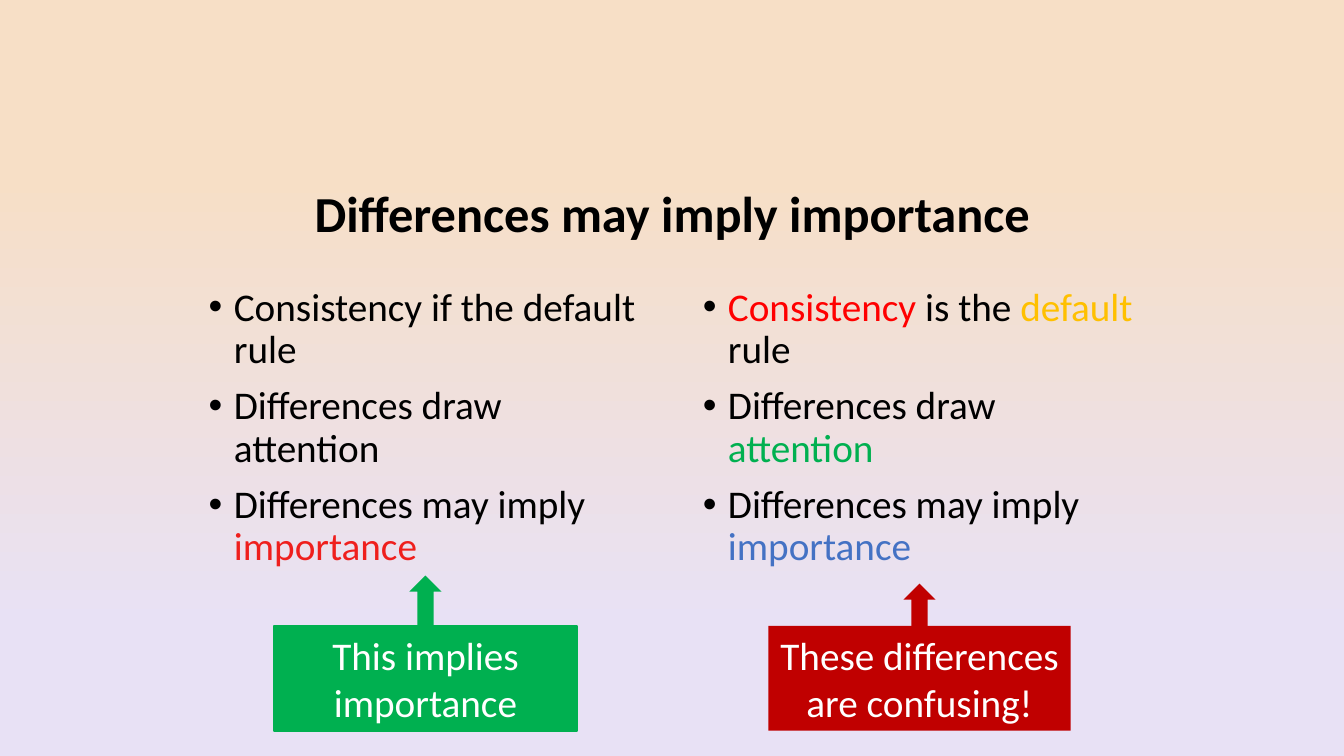
from copy import deepcopy

from lxml.etree import SubElement
from pptx import Presentation
from pptx.dml.color import RGBColor
from pptx.enum.shapes import MSO_SHAPE
from pptx.enum.text import MSO_ANCHOR, MSO_AUTO_SIZE, PP_ALIGN
from pptx.oxml.ns import qn
from pptx.util import Inches, Pt

FONT = "Calibri"
BLACK, WHITE, GREEN, DARK_RED = "000000", "FFFFFF", "00B050", "C00000"
BACKGROUND_STOPS = [(0, "F7DFC6"), (0.23, "F7DFC6"), (0.83, "E8E1F5"), (1, "E8E1F5")]

# Two equal columns, in inches
COLUMN_LEFT, COLUMN_STEP, COLUMN_WIDTH = 1.97, 4.9, 4.5
LIST_TOP, LIST_HEIGHT = 2.8, 3
BOX_TOP, BOX_WIDTH, BOX_HEIGHT = 6.21, 3, 1.04
ARROW_WIDTH, ARROW_HEIGHT = 0.32, 0.5

# One entry per column: bullets as (text, colour) runs, then callout, fill, arrow top
COLUMNS = [
    ([[("Consistency if the default rule", BLACK)],
      [("Differences draw attention", BLACK)],
      [("Differences may imply ", BLACK), ("importance", "EF1F1D")]],
     "This implies importance", GREEN, 5.71),
    ([[("Consistency", "FF0000"), (" is the ", BLACK), ("default", "FFC000"), (" rule", BLACK)],
      [("Differences draw ", BLACK), ("attention", GREEN)],
      [("Differences may imply ", BLACK), ("importance", "4472C4")]],
     "These differences are confusing!", DARK_RED, 5.79),
]


def colour(hex_value):
    return RGBColor.from_string(hex_value)


def place(shape, left, top, width, height):
    shape.left, shape.top = Inches(left), Inches(top)
    shape.width, shape.height = Inches(width), Inches(height)


def format_run(run, size, hex_value, bold=False):
    run.font.name, run.font.size, run.font.bold = FONT, Pt(size), bold
    run.font.color.rgb = colour(hex_value)


def set_background(slide):
    fill = slide.background.fill
    fill.gradient()
    fill.gradient_angle = 270
    stop_list = next(slide.element.iter(qn("a:gsLst")))
    for stop in list(stop_list):
        stop_list.append(deepcopy(stop))
    for stop, (position, hex_value) in zip(fill.gradient_stops, BACKGROUND_STOPS):
        stop.position = position
        stop.color.rgb = colour(hex_value)


def set_title(title, text):
    place(title, 2.42, 1.85, 8.5, 0.62)
    frame = title.text_frame
    frame.text = text
    frame.auto_size = MSO_AUTO_SIZE.NONE
    frame.vertical_anchor = MSO_ANCHOR.MIDDLE
    paragraph = frame.paragraphs[0]
    paragraph.alignment, paragraph.line_spacing = PP_ALIGN.CENTER, 0.8
    format_run(paragraph.runs[0], 36, BLACK, bold=True)


def add_bullet(paragraph):
    properties = paragraph._p.get_or_add_pPr()
    properties.set("marL", str(Inches(0.25)))
    properties.set("indent", str(-Inches(0.25)))
    bullet_colour = SubElement(properties, qn("a:buClr"))
    SubElement(bullet_colour, qn("a:srgbClr"), val=BLACK)
    SubElement(properties, qn("a:buFont"), typeface="Arial")
    SubElement(properties, qn("a:buChar"), char="•")


def fill_list(placeholder, left, bullets):
    place(placeholder, left, LIST_TOP, COLUMN_WIDTH, LIST_HEIGHT)
    frame = placeholder.text_frame
    frame.auto_size = MSO_AUTO_SIZE.NONE
    for index, runs in enumerate(bullets):
        paragraph = frame.add_paragraph() if index else frame.paragraphs[0]
        add_bullet(paragraph)
        paragraph.line_spacing = 0.9
        paragraph.space_before = Pt(10 if index else 0)
        for text, hex_value in runs:
            run = paragraph.add_run()
            run.text = text
            format_run(run, 28, hex_value)


def add_solid(slide, kind, center, top, width, height, hex_value):
    shape = slide.shapes.add_shape(kind, 0, 0, 0, 0)
    place(shape, center - width / 2, top, width, height)
    shape.shadow.inherit = False
    shape.fill.solid()
    shape.fill.fore_color.rgb = colour(hex_value)
    shape.line.fill.background()
    return shape


def add_callout(slide, center, text, hex_value, arrow_top):
    box = add_solid(slide, MSO_SHAPE.RECTANGLE, center, BOX_TOP, BOX_WIDTH, BOX_HEIGHT, hex_value)
    if hex_value == GREEN:
        box.line.color.rgb = colour(GREEN)
        box.line.width = Pt(1.5)
    frame = box.text_frame
    frame.text = text
    frame.word_wrap = True
    frame.vertical_anchor = MSO_ANCHOR.TOP
    frame.paragraphs[0].alignment = PP_ALIGN.CENTER
    format_run(frame.paragraphs[0].runs[0], 28, WHITE)
    add_solid(slide, MSO_SHAPE.UP_ARROW, center, arrow_top, ARROW_WIDTH, ARROW_HEIGHT, hex_value)


def main():
    presentation = Presentation()
    presentation.slide_width, presentation.slide_height = Inches(13.33), Inches(7.5)
    slide = presentation.slides.add_slide(presentation.slide_layouts.get_by_name("Two Content"))
    set_background(slide)
    set_title(slide.shapes.title, "Differences may imply importance")

    # Lists with the callout centred below each
    for index, (bullets, callout, hex_value, arrow_top) in enumerate(COLUMNS):
        left = COLUMN_LEFT + index * COLUMN_STEP
        fill_list(slide.placeholders[index + 1], left, bullets)
        add_callout(slide, left + COLUMN_WIDTH / 2, callout, hex_value, arrow_top)

    presentation.save("out.pptx")


if __name__ == "__main__":
    main()
